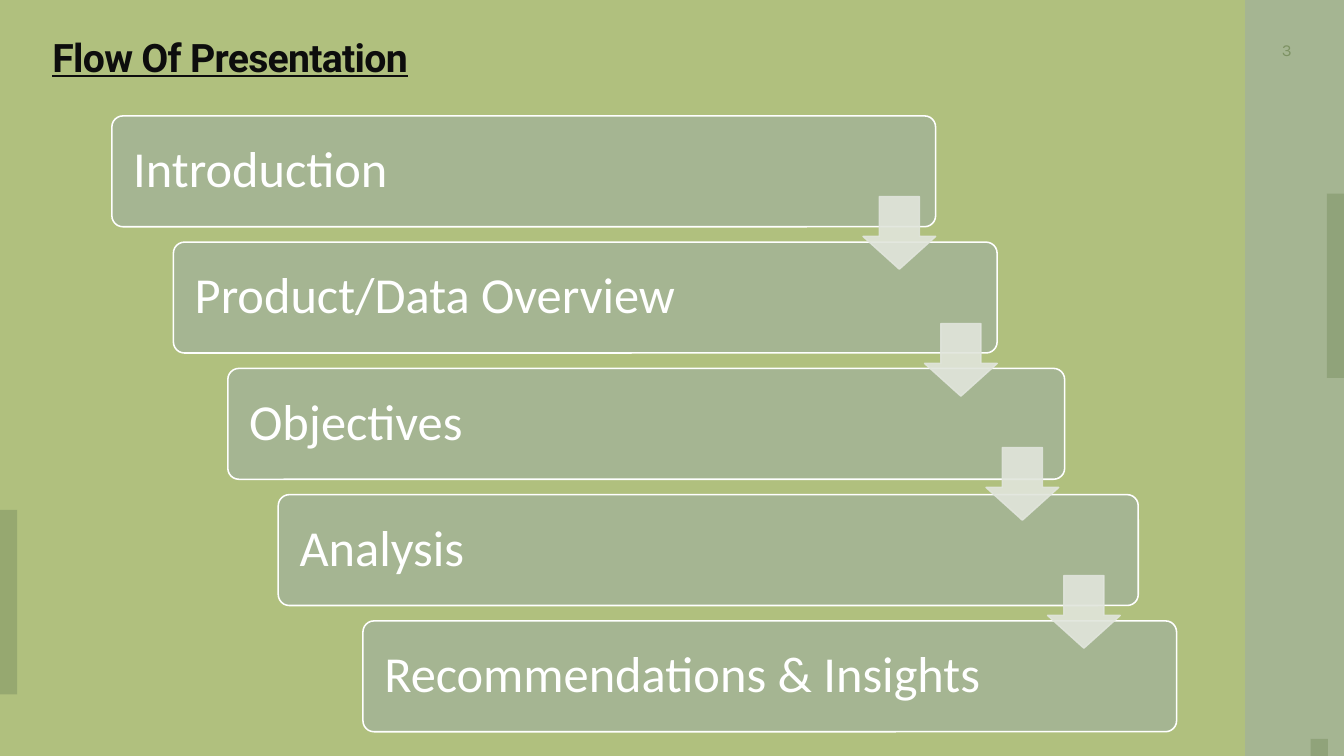
from dataclasses import dataclass

from lxml import etree
from pptx import Presentation
from pptx.dml.color import RGBColor
from pptx.enum.shapes import MSO_SHAPE
from pptx.enum.text import MSO_ANCHOR, MSO_AUTO_SIZE, PP_ALIGN
from pptx.oxml.ns import qn
from pptx.util import Pt

RECT = MSO_SHAPE.RECTANGLE
ROUNDED = MSO_SHAPE.ROUNDED_RECTANGLE
DOWN_ARROW = MSO_SHAPE.DOWN_ARROW
TOP, MIDDLE = MSO_ANCHOR.TOP, MSO_ANCHOR.MIDDLE
LEFT, RIGHT = PP_ALIGN.LEFT, PP_ALIGN.RIGHT
NO_AUTOFIT = MSO_AUTO_SIZE.NONE

PX = 9144
SLIDE_WIDTH, SLIDE_HEIGHT = 1333, 750


@dataclass(frozen=True)
class Theme:
    background: str = "B0C07E"
    sage: str = "A5B592"
    moss: str = "7D9263"
    arrow: str = "E1E5DC"
    ink: str = "0D0D0D"
    white: str = "FFFFFF"
    title_font: str = "Roboto"
    step_font: str = "Calibri"
    number_font: str = "Karla"
    title_size: int = 28
    step_size: int = 36
    number_size: int = 12
    outline: float = 1.1


THEME = Theme()

STEPS = [
    ("Introduction", 0, 817),
    ("Product/Data Overview", 61, 817),
    ("Objectives", 115, 830),
    ("Analysis", 165, 853),
    ("Recommendations & Insights", 249, 807),
]
ARROW_TOPS = [80, 206, 329, 456]


def emu(*lengths):
    return [round(length * PX) for length in lengths]


def add_block(slide, kind, box, color, outline=None, opacity=100):
    block = slide.shapes.add_shape(kind, *emu(*box))
    block.shadow.inherit = False
    block.fill.solid()
    block.fill.fore_color.rgb = RGBColor.from_string(color)
    if outline:
        block.line.color.rgb = RGBColor.from_string(outline)
        block.line.width = Pt(THEME.outline)
    else:
        block.line.fill.background()
    if opacity < 100:
        for tint in block._element.spPr.iter(qn("a:srgbClr")):
            etree.SubElement(tint, qn("a:alpha")).set("val", str(opacity * 1000))
    return block


def write(holder, words, font, size, color, insets, align=LEFT, anchor=TOP):
    frame = holder.text_frame
    frame.text = words
    frame.word_wrap = True
    frame.auto_size = NO_AUTOFIT
    frame.vertical_anchor = anchor
    (frame.margin_left, frame.margin_top,
     frame.margin_right, frame.margin_bottom) = emu(*insets)
    paragraph = frame.paragraphs[0]
    paragraph.alignment = align
    run = paragraph.runs[0]
    run.font.name = font
    run.font.size = Pt(size)
    run.font.color.rgb = RGBColor.from_string(color)
    return paragraph


def add_backdrop(slide, box):
    left, top, width, height = box
    slide.background.fill.solid()
    slide.background.fill.fore_color.rgb = RGBColor.from_string(THEME.background)
    right, bottom = left + width, top + height
    add_block(slide, RECT, (right - 98, top, 98, height), THEME.sage)
    for tab in (
        (right - 17, top + 192, 17, 183),
        (left, top + 506, 17, 183),
        (right - 33, bottom - 17, 17, 17),
    ):
        add_block(slide, RECT, tab, THEME.moss, opacity=50)


def add_title(slide, box):
    title = slide.shapes.title
    title.left, title.top, title.width, title.height = emu(*box)
    heading = write(title, "Flow Of Presentation", THEME.title_font,
                    THEME.title_size, THEME.ink, (10, 3, 10, 5))
    heading.line_spacing = 0.9
    run = heading.runs[0]
    run.font.bold = True
    run.font.underline = True
    run.font._element.set("spc", "-50")


def add_page_number(slide, box):
    number = slide.shapes.add_textbox(*emu(*box))
    write(number, "3", THEME.number_font, THEME.number_size, THEME.moss,
          (5, 5, 10, 0), align=RIGHT)


def add_staircase(slide, box):
    left, top, width, height = box
    step_height = 110
    pitch = (height - step_height) / (len(STEPS) - 1)
    for index, (label, indent, step_width) in enumerate(STEPS):
        step_box = (left + indent, top + index * pitch, step_width, step_height)
        step = add_block(slide, ROUNDED, step_box, THEME.sage, THEME.white)
        step.adjustments[0] = 0.1
        caption = write(step, label, THEME.step_font, THEME.step_size,
                        THEME.white, (18, 18, 18, 18), anchor=MIDDLE)
        caption.line_spacing = 0.9
    for index, arrow_top in enumerate(ARROW_TOPS):
        arrow_box = (left + 745 + index * 61, top + arrow_top, 72, 72)
        arrow = add_block(slide, DOWN_ARROW, arrow_box, THEME.arrow,
                          THEME.arrow, opacity=90)
        arrow.adjustments[0] = 0.55
        arrow.adjustments[1] = 0.45


def main():
    deck = Presentation()
    deck.slide_width, deck.slide_height = emu(SLIDE_WIDTH, SLIDE_HEIGHT)
    slide = deck.slides.add_slide(deck.slide_layouts[5])
    add_backdrop(slide, (0, 0, SLIDE_WIDTH, SLIDE_HEIGHT))
    add_title(slide, (42, 35, 548, 122))
    add_page_number(slide, (1240, 35, 51, 40))
    add_staircase(slide, (111, 115, 1056, 611))
    deck.save("out.pptx")


if __name__ == "__main__":
    main()
